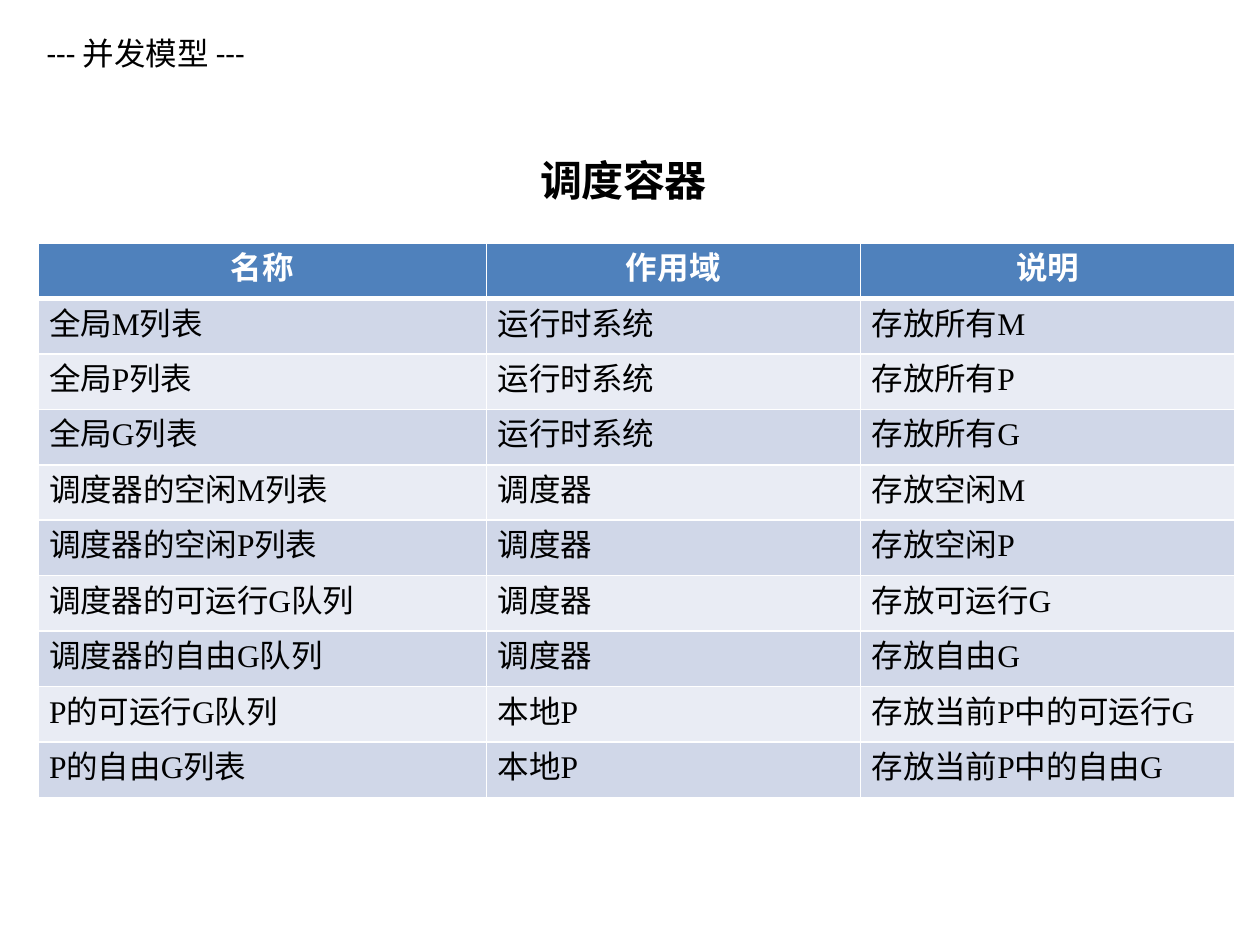
"""Build the slide that lists the scheduler containers of the concurrency model."""
from dataclasses import dataclass
from itertools import groupby

from lxml.etree import SubElement
from pptx import Presentation
from pptx.dml.color import RGBColor
from pptx.enum.text import PP_ALIGN
from pptx.oxml import parse_xml
from pptx.oxml.ns import nsdecls, qn
from pptx.util import Inches, Pt


@dataclass(frozen=True)
class Theme:
    text: str = "000000"
    white: str = "FFFFFF"
    header: str = "4F81BC"
    bands: tuple = ("D0D7E8", "E9ECF4")
    body: int = 18
    heading: int = 24
    cjk: str = "Noto Sans CJK SC"
    latin: str = "Times New Roman"
    title_latin: str = "Calibri"


THEME = Theme()


def write_text(p, text, size, color, bold=False, latin=THEME.latin, spacing=0):
    for is_latin, chars in groupby(text, str.isascii):
        r = p.add_run()
        r.text = "".join(chars)
        r.font.size = Pt(size)
        r.font.bold = bold
        r.font.color.rgb = RGBColor.from_string(color)
        r.font.name = latin if is_latin else THEME.cjk
        rPr = r.font._element
        rPr.set("spc", str(spacing))
        SubElement(rPr, qn("a:ea")).set("typeface", r.font.name)


def add_label(s, text, left, top, width, height, align, **style):
    tf = s.shapes.add_textbox(
        Inches(left), Inches(top), Inches(width), Inches(height)
    ).text_frame
    tf.word_wrap = True
    tf.margin_left = tf.margin_right = tf.margin_top = tf.margin_bottom = 0
    p = tf.paragraphs[0]
    p.alignment = align
    write_text(p, text, color=THEME.text, **style)


prs = Presentation()
prs.slide_width, prs.slide_height = Inches(10), Inches(7.5)
s = prs.slides.add_slide(prs.slide_layouts[6])

add_label(s, "--- 并发模型 ---", 0.37, 0.27, 9.27, 0.33, PP_ALIGN.LEFT,
          size=THEME.body, latin=THEME.title_latin)

rows = [
    ("名称", "作用域", "说明"),
    ("全局M列表", "运行时系统", "存放所有M"),
    ("全局P列表", "运行时系统", "存放所有P"),
    ("全局G列表", "运行时系统", "存放所有G"),
    ("调度器的空闲M列表", "调度器", "存放空闲M"),
    ("调度器的空闲P列表", "调度器", "存放空闲P"),
    ("调度器的可运行G队列", "调度器", "存放可运行G"),
    ("调度器的自由G队列", "调度器", "存放自由G"),
    ("P的可运行G队列", "本地P", "存放当前P中的可运行G"),
    ("P的自由G列表", "本地P", "存放当前P中的自由G"),
]
col_widths = (3.56, 2.97, 2.97)
row_height = 0.44

table = s.shapes.add_table(
    len(rows), len(col_widths), Inches(0.3), Inches(1.93),
    Inches(sum(col_widths)), Inches(row_height * len(rows)),
).table
for column, width in zip(table.columns, col_widths):
    column.width = Inches(width)

for i, row in enumerate(rows):
    table.rows[i].height = Inches(row_height)
    is_header = i == 0
    fill = THEME.header if is_header else THEME.bands[(i - 1) % 2]
    borders = {"L": 1, "R": 1, "T": 3 if i == 1 else 1, "B": 3 if is_header else 1}
    for j, text in enumerate(row):
        cell = table.cell(i, j)
        cell.margin_left = cell.margin_right = cell.margin_top = cell.margin_bottom = 0
        cell.fill.solid()
        cell.fill.fore_color.rgb = RGBColor.from_string(fill)
        tcPr = cell._tc.get_or_add_tcPr()
        for k, (side, weight) in enumerate(borders.items()):
            tcPr.insert(k, parse_xml(
                f'<a:ln{side} {nsdecls("a")} w="{Pt(weight)}"><a:solidFill>'
                f'<a:srgbClr val="{THEME.white}"/></a:solidFill></a:ln{side}>'
            ))
        p = cell.text_frame.paragraphs[0]
        p.space_before = Pt(0.7 if i == 1 else 1.7)
        if is_header:
            p.alignment = PP_ALIGN.CENTER
            write_text(p, text, THEME.body, THEME.white, bold=True, spacing=10)
        else:
            p.alignment = PP_ALIGN.LEFT
            p._p.get_or_add_pPr().set("marL", str(Inches(0.09)))
            write_text(p, text, THEME.body, THEME.text, spacing=-10)

add_label(s, "调度容器", 3.74, 1.23, 2.42, 0.4, PP_ALIGN.CENTER,
          size=THEME.heading, bold=True, spacing=-30)

prs.save("out.pptx")
